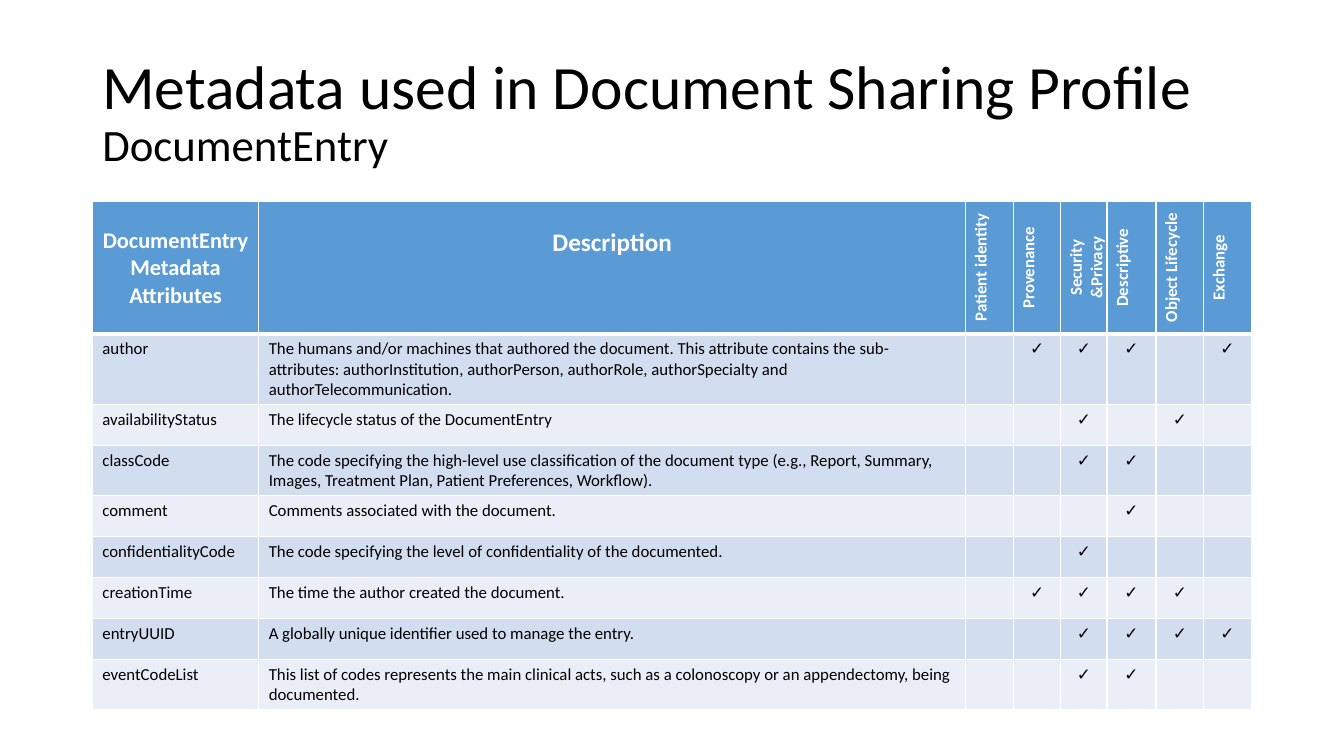
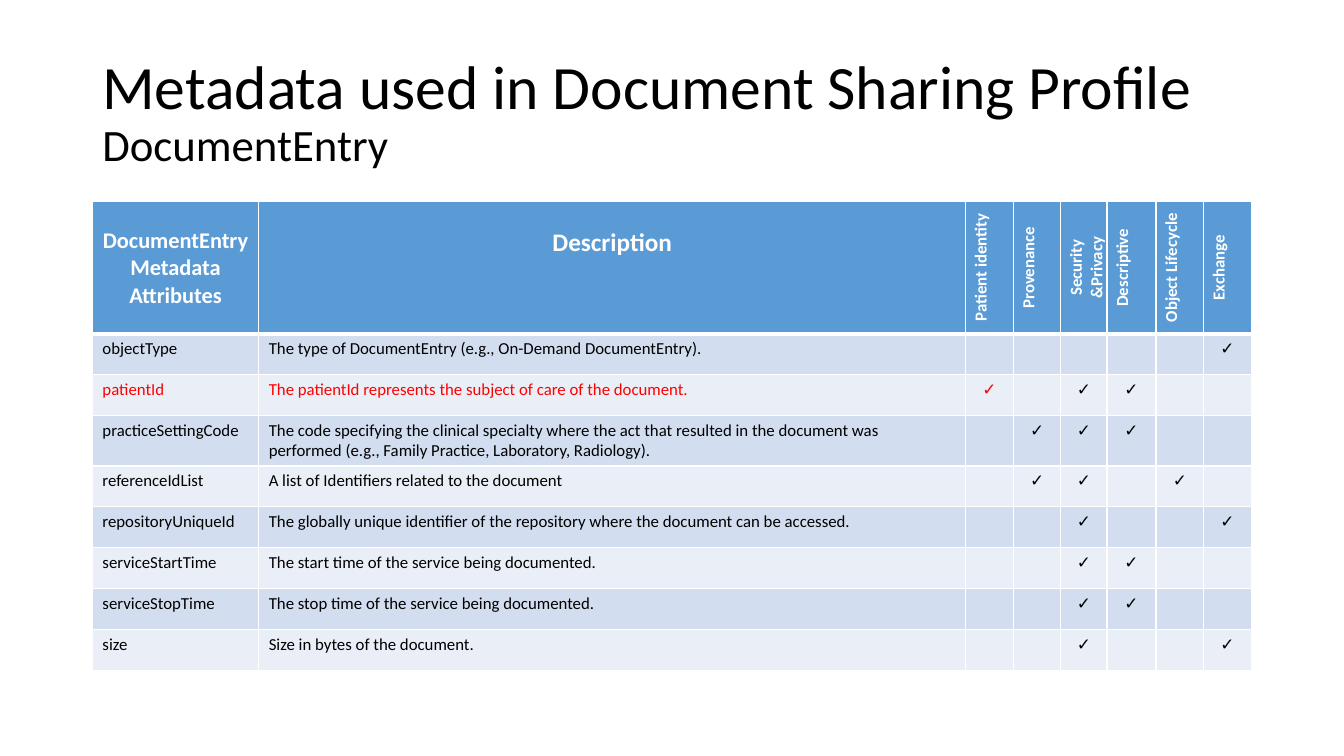
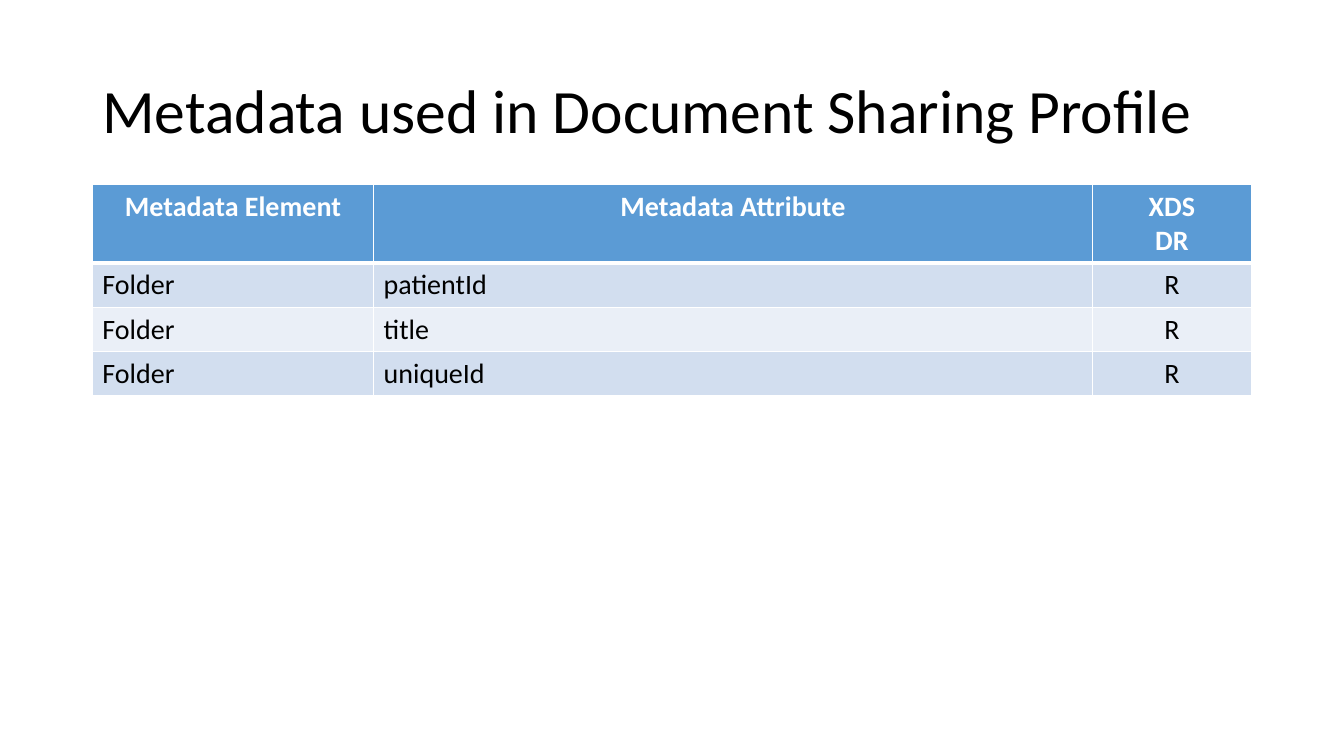
from pptx import Presentation
from pptx import util as u
from pptx.dml.color import RGBColor
from pptx.enum import text
from pptx.oxml import parse_xml
from pptx.oxml.ns import nsdecls

BLACK = RGBColor(0x00, 0x00, 0x00)
WHITE = RGBColor(0xFF, 0xFF, 0xFF)
RED = RGBColor(0xFF, 0x00, 0x00)
BLUE = RGBColor(0x5B, 0x9B, 0xD5)
BANDS = (RGBColor(0xD2, 0xDE, 0xEF), RGBColor(0xEA, 0xEF, 0xF7))

TITLE = "Metadata used in Document Sharing Profile"
CHECK = "✓"
ASPECTS = {
    "I": "Patient identity",
    "P": "Provenance",
    "S": "Security &Privacy",
    "D": "Descriptive",
    "O": "Object Lifecycle",
    "E": "Exchange",
}
ENTRY_WIDTHS = (118.8, 505, 34, 34, 33, 35, 34, 34)

# Attribute, description, letters of the aspects it serves
FIRST_ENTRIES = (
    ("author", "The humans and/or machines that authored the document. This attribute "
     "contains the sub-attributes: authorInstitution, authorPerson, authorRole, "
     "authorSpecialty and authorTelecommunication.", "PSDE"),
    ("availabilityStatus", "The lifecycle status of the DocumentEntry", "SO"),
    ("classCode", "The code specifying the high-level use classification of the document "
     "type (e.g., Report, Summary, Images, Treatment Plan, Patient Preferences, "
     "Workflow).", "SD"),
    ("comment", "Comments associated with the document.", "D"),
    ("confidentialityCode",
     "The code specifying the level of confidentiality of the documented.", "S"),
    ("creationTime", "The time the author created the document.", "PSDO"),
    ("entryUUID", "A globally unique identifier used to manage the entry.", "SDOE"),
    ("eventCodeList", "This list of codes represents the main clinical acts, such as a "
     "colonoscopy or an appendectomy, being documented.", "SD"),
)
SECOND_ENTRIES = (
    ("objectType", "The type of DocumentEntry (e.g., On-Demand DocumentEntry).", "E"),
    ("patientId", "The patientId represents the subject of care of the document.", "ISD"),
    ("practiceSettingCode", "The code specifying the clinical specialty where the act that "
     "resulted in the document was performed (e.g., Family Practice, Laboratory, "
     "Radiology).", "PSD"),
    ("referenceIdList", "A list of Identifiers related to the document", "PSO"),
    ("repositoryUniqueId", "The globally unique identifier of the repository where the "
     "document can be accessed.", "SE"),
    ("serviceStartTime", "The start time of the service being documented.", "SD"),
    ("serviceStopTime", "The stop time of the service being documented.", "SD"),
    ("size", "Size in bytes of the document.", "SE"),
)
FOLDER_ATTRIBUTES = ("patientId", "title", "uniqueId")


class Deck:
    font = "Calibri"
    left, width = 66, 828

    def __init__(self):
        self.file = Presentation()
        self.file.slide_width, self.file.slide_height = u.Pt(960), u.Pt(540)
        self.page = None

    def add_page(self, subtitle=None):
        self.page = self.file.slides.add_slide(self.file.slide_layouts[6])
        box = self.page.shapes.add_textbox(
            u.Pt(self.left), u.Pt(28.8), u.Pt(self.width), u.Pt(104.4))
        frame = box.text_frame
        frame.word_wrap = True
        frame.vertical_anchor = text.MSO_ANCHOR.MIDDLE
        para = frame.paragraphs[0]
        para.line_spacing = 0.9
        para.font.name, para.font.color.rgb = self.font, BLACK
        self.add_span(para, TITLE, 44)
        if subtitle:
            para.add_line_break()
            self.add_span(para, subtitle, 32)

    def add_span(self, para, words, size):
        span = para.add_run()
        span.text = words
        span.font.size = u.Pt(size)

    def add_grid(self, top, widths, header_height, row_height, count):
        """Add an empty table with a header row and count banded rows."""
        height = header_height + row_height * count
        grid = self.page.shapes.add_table(
            count + 1, len(widths), u.Pt(self.left), u.Pt(top),
            u.Pt(sum(widths)), u.Pt(height)).table
        grid.first_row = grid.horz_banding = False
        for column, width in zip(grid.columns, widths):
            column.width = u.Pt(width)
        for index, row in enumerate(grid.rows):
            row.height = u.Pt(row_height if index else header_height)
            for cell in row.cells:
                cell.fill.solid()
                cell.fill.fore_color.rgb = BANDS[(index - 1) % 2] if index else BLUE
                self.add_borders(cell, top=3 if index == 1 else 1,
                                 bottom=1 if index else 3)
        return grid

    def add_borders(self, cell, top, bottom):
        properties = cell._tc.get_or_add_tcPr()
        sides = (("L", 1), ("R", 1), ("T", top), ("B", bottom))
        for position, (side, weight) in enumerate(sides):
            properties.insert(position, parse_xml(
                f'<a:ln{side} {nsdecls("a")} w="{u.Pt(weight)}"><a:solidFill>'
                f'<a:srgbClr val="{WHITE}"/></a:solidFill></a:ln{side}>'))

    def fill_cell(self, cell, words, size, color=BLACK, bold=False, centred=False):
        cell.text_frame.text = words
        for para in cell.text_frame.paragraphs:
            para.font.name, para.font.size = self.font, u.Pt(size)
            para.font.color.rgb, para.font.bold = color, bold
            if centred:
                para.alignment = text.PP_ALIGN.CENTER

    def fill_header(self, cell, words, size, drop=0, upright=False):
        """Set a heading, moved down by drop or turned to read upwards."""
        self.fill_cell(cell, words, size, WHITE, True, True)
        if drop:
            cell.margin_top = u.Pt(3.6 + drop)
        if upright:
            cell._tc.get_or_add_tcPr().set("vert", "vert270")

    def add_entry_page(self, entries, highlighted=None):
        self.add_page("DocumentEntry")
        grid = self.add_grid(144, ENTRY_WIDTHS, 93.6, 29.2, len(entries))
        self.fill_header(grid.cell(0, 0), "DocumentEntry Metadata Attributes", 16, 14.6)
        self.fill_header(grid.cell(0, 1), "Description", 18, 14.6)
        for column, aspect in enumerate(ASPECTS.values(), 2):
            self.fill_header(grid.cell(0, column), aspect, 12, upright=True)
        for row, (name, description, served) in enumerate(entries, 1):
            color = RED if name == highlighted else BLACK
            self.fill_cell(grid.cell(row, 0), name, 12, color)
            self.fill_cell(grid.cell(row, 1), description, 12, color)
            for column, letter in enumerate(ASPECTS, 2):
                if letter in served:
                    self.fill_cell(grid.cell(row, column), CHECK, 12,
                                   color if letter == "I" else BLACK, centred=True)

    def add_folder_page(self):
        self.add_page()
        grid = self.add_grid(132, (200.9, 513.3, 113.8), 56, 31.6, len(FOLDER_ATTRIBUTES))
        for column, heading in enumerate(
                ("Metadata Element", "Metadata Attribute", "XDS\nDR")):
            self.fill_header(grid.cell(0, column), heading, 20)
        for row, attribute in enumerate(FOLDER_ATTRIBUTES, 1):
            for column, words in enumerate(("Folder", attribute, "R")):
                self.fill_cell(grid.cell(row, column), words, 20, centred=column == 2)


def main():
    deck = Deck()
    deck.add_entry_page(FIRST_ENTRIES)
    deck.add_entry_page(SECOND_ENTRIES, highlighted="patientId")
    deck.add_folder_page()
    deck.file.save("out.pptx")


if __name__ == "__main__":
    main()
